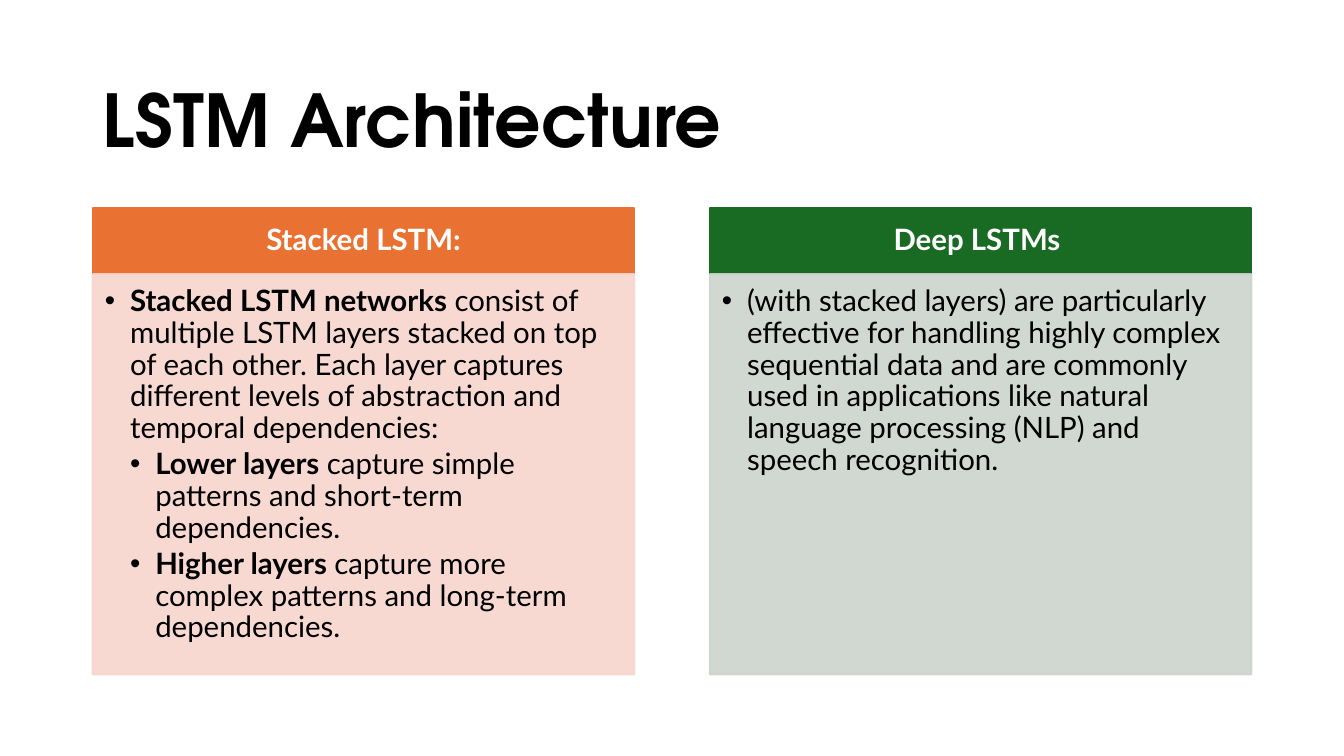
"""Build the LSTM Architecture comparison slide."""
from lxml import etree
from pptx import Presentation
from pptx.dml.color import RGBColor
from pptx.enum.text import MSO_ANCHOR, MSO_AUTO_SIZE, PP_ALIGN
from pptx.oxml.ns import qn
from pptx.util import Pt

PX = 9144
TOP, MIDDLE = MSO_ANCHOR.TOP, MSO_ANCHOR.MIDDLE
LEFT, CENTER = PP_ALIGN.LEFT, PP_ALIGN.CENTER
NO_FIT = MSO_AUTO_SIZE.NONE
BLACK = RGBColor(0x00, 0x00, 0x00)
WHITE = RGBColor(0xFF, 0xFF, 0xFF)
ORANGE = RGBColor(0xE9, 0x71, 0x32)
PINK = RGBColor(0xF7, 0xD5, 0xCE)
GREEN = RGBColor(0x19, 0x6B, 0x24)
SAGE = RGBColor(0xCC, 0xD4, 0xCD)

TITLE = "LSTM Architecture"
COLUMNS = [
    {"header": "Stacked LSTM:", "color": ORANGE, "tint": PINK, "items": [
        (0, "Stacked LSTM networks", " consist of multiple LSTM layers stacked on top of each other. "
            "Each layer captures different levels of abstraction and temporal dependencies:"),
        (1, "Lower layers", " capture simple patterns and short-term dependencies."),
        (1, "Higher layers", " capture more complex patterns and long-term dependencies."),
    ]},
    {"header": "Deep LSTMs ", "color": GREEN, "tint": SAGE, "items": [
        (0, "", "(with stacked layers) are particularly effective for handling highly complex "
            "sequential data and are commonly used in applications like natural language "
            "processing (NLP) and speech recognition."),
    ]},
]

SLIDE_W, SLIDE_H = 1333, 750
MARGIN, COL_W, COL_STEP = 92, 537, 612
HEADER_TOP, HEADER_H, BODY_H = 206, 66, 397
INDENT = 25
TITLE_FONT = {"name": "TeX Gyre Adventor", "size": Pt(52), "bold": True}
TEXT_FONT = {"name": "Lato", "size": Pt(21)}


def set_attrs(obj, values):
    """Set each named attribute of an object."""
    for name, value in values.items():
        setattr(obj, name, value)


def place(sp, box, insets, anchor):
    """Position a placeholder and return its text frame."""
    set_attrs(sp, dict(zip(("left", "top", "width", "height"), (v * PX for v in box))))
    tf = sp.text_frame
    sides = ("margin_left", "margin_top", "margin_right", "margin_bottom")
    set_attrs(tf, dict(zip(sides, (v * PX for v in insets))))
    set_attrs(tf, {"word_wrap": True, "auto_size": NO_FIT, "vertical_anchor": anchor})
    return tf


def paint(sp, color, alpha=100):
    """Fill and outline a placeholder in one colour."""
    sp.fill.solid()
    sp.fill.fore_color.rgb = color
    sp.line.color.rgb = color
    sp.line.width = Pt(1.5)
    if alpha < 100:
        for clr in list(sp._element.spPr.iter(qn("a:srgbClr"))):
            etree.SubElement(clr, qn("a:alpha"), val=str(alpha * 1000))


def write(p, text, font, color, bold):
    """Add a formatted run to a paragraph."""
    r = p.add_run()
    r.text = text
    set_attrs(r.font, {**font, "bold": bold})
    r.font.color.rgb = color


def space(p, align, after=0):
    """Set alignment and spacing of a paragraph."""
    set_attrs(p, {"alignment": align, "line_spacing": 0.9,
                  "space_before": Pt(0), "space_after": Pt(after)})


def add_bullet(p, level):
    """Give a paragraph a round bullet and hanging indent."""
    p.level = level
    pPr = p._p.get_or_add_pPr()
    pPr.set("marL", str((level + 1) * INDENT * PX))
    pPr.set("indent", str(-INDENT * PX))
    etree.SubElement(pPr, qn("a:buFont"), typeface="Arial")
    etree.SubElement(pPr, qn("a:buChar"), char="•")


def add_column(header, body, left, column):
    """Fill one header and its list."""
    tf = place(header, (left, HEADER_TOP, COL_W, HEADER_H), (16, 9, 16, 9), MIDDLE)
    paint(header, column["color"])
    p = tf.paragraphs[0]
    space(p, CENTER)
    write(p, column["header"], TEXT_FONT, WHITE, True)

    tf = place(body, (left, HEADER_TOP + HEADER_H, COL_W, BODY_H), (12, 12, 16, 18), TOP)
    paint(body, column["tint"], 90)
    for i, (level, lead, rest) in enumerate(column["items"]):
        p = tf.add_paragraph() if i else tf.paragraphs[0]
        add_bullet(p, level)
        space(p, LEFT, 3.15)
        if lead:
            write(p, lead, TEXT_FONT, BLACK, True)
        write(p, rest, TEXT_FONT, BLACK, False)


def main():
    """Create and save the slide."""
    prs = Presentation()
    prs.slide_width, prs.slide_height = SLIDE_W * PX, SLIDE_H * PX
    s = prs.slides.add_slide(prs.slide_layouts.get_by_name("Comparison"))
    tf = place(s.shapes.title, (MARGIN, 61, 1150, 124), (10, 5, 10, 5), MIDDLE)
    space(tf.paragraphs[0], LEFT)
    write(tf.paragraphs[0], TITLE, TITLE_FONT, BLACK, True)
    for i, column in enumerate(COLUMNS):
        header, body = (s.placeholders[2 * i + k] for k in (1, 2))
        add_column(header, body, MARGIN + i * COL_STEP, column)
    prs.save("out.pptx")


if __name__ == "__main__":
    main()
